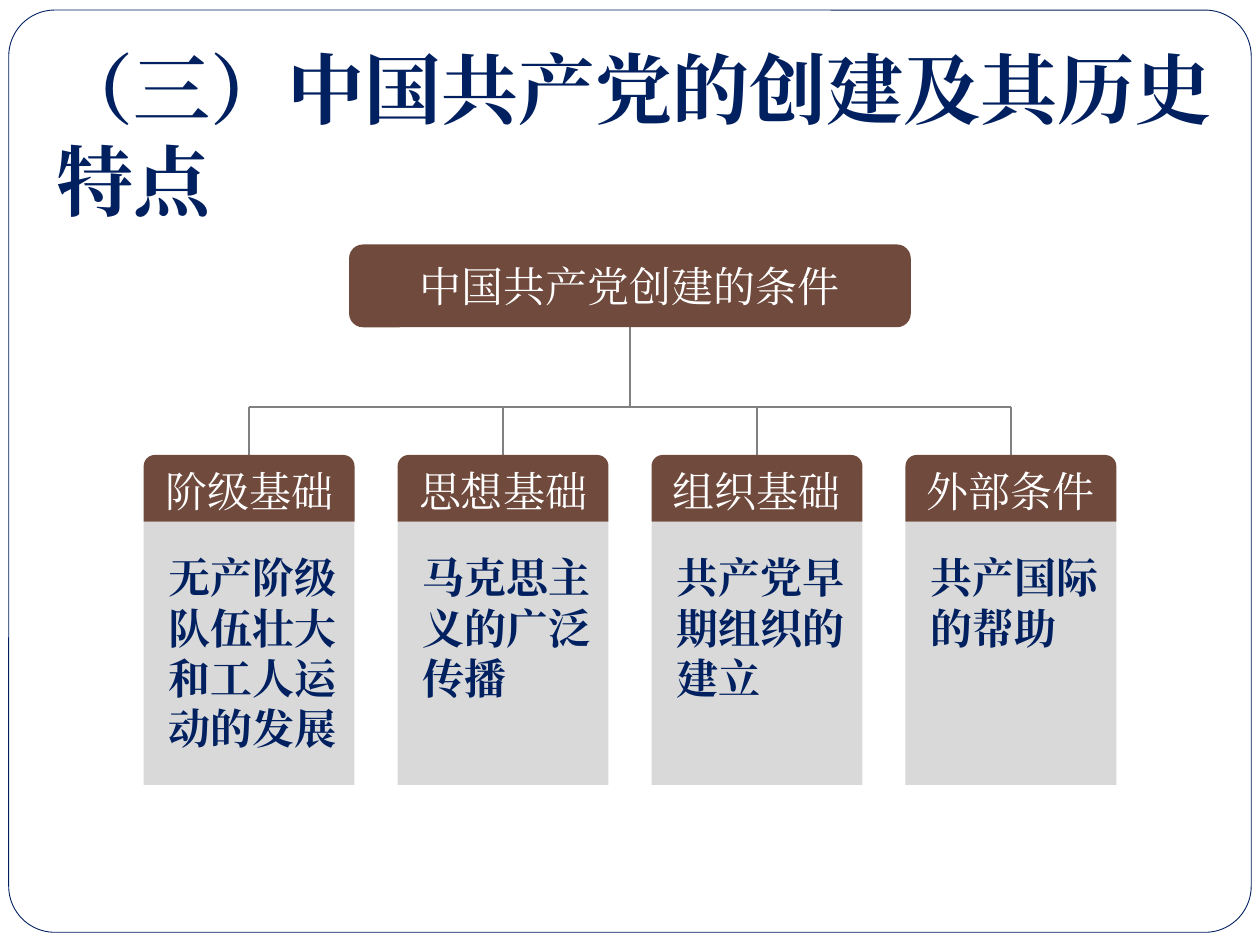
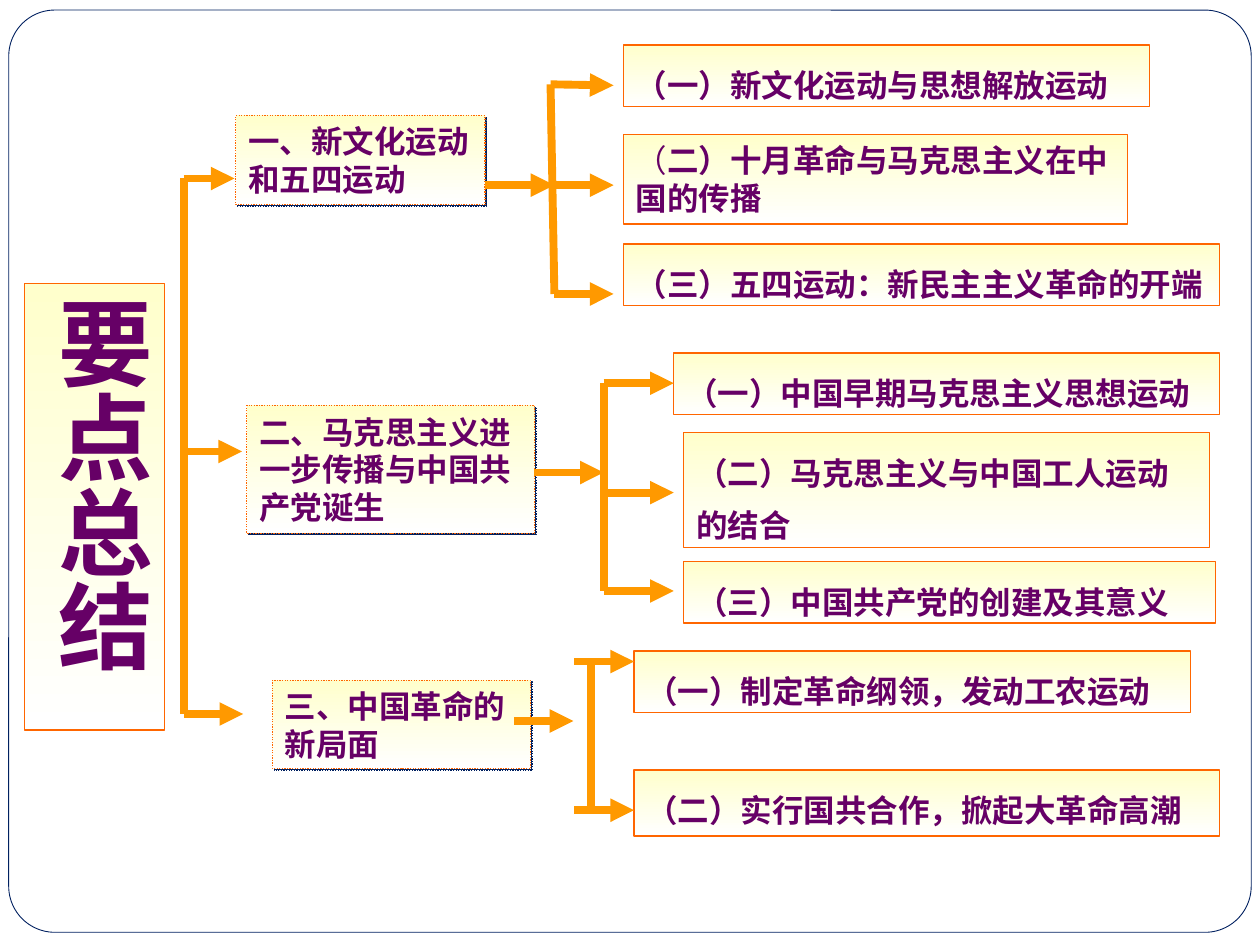
from lxml.etree import SubElement
from pptx import Presentation
from pptx.dml.color import RGBColor
from pptx.enum.dml import MSO_LINE
from pptx.enum.shapes import MSO_CONNECTOR, MSO_SHAPE
from pptx.enum.text import MSO_ANCHOR, PP_ALIGN
from pptx.oxml.ns import qn
from pptx.util import Pt

NAVY = RGBColor(0x00, 0x20, 0x60)
BROWN = RGBColor(0x70, 0x4A, 0x3D)
LIGHT_GRAY = RGBColor(0xD9, 0xD9, 0xD9)
GRAY = RGBColor(0x80, 0x80, 0x80)
WHITE = RGBColor(0xFF, 0xFF, 0xFF)
CREAM = RGBColor(0xFF, 0xFF, 0xCC)
ORANGE = RGBColor(0xFF, 0x66, 0x00)
AMBER = RGBColor(0xFF, 0x99, 0x00)
PURPLE = RGBColor(0x66, 0x00, 0x66)

SERIF = "Times New Roman"
SANS_JP = "Noto Sans CJK JP"
SANS_SC = "Noto Sans CJK SC"
INSETS = (7.2, 3.6, 7.2, 3.6)


class Deck:
    """Holds the presentation, its style and the current slide."""

    def __init__(self):
        self.prs = Presentation()
        self.prs.slide_width, self.prs.slide_height = Pt(720), Pt(540)
        self.slide = None

    def new_slide(self):
        self.slide = self.prs.slides.add_slide(self.prs.slide_layouts[6])
        frame = self.shape(MSO_SHAPE.ROUNDED_RECTANGLE, (5, 5.75, 710, 527), WHITE)
        frame.adjustments[0] = 0.05
        frame.line.color.rgb = NAVY
        frame.line.width = Pt(0.5)

    def shape(self, kind, at, fill):
        sp = self.slide.shapes.add_shape(kind, *map(Pt, at))
        sp.shadow.inherit = False
        sp.fill.solid()
        sp.fill.fore_color.rgb = fill
        sp.line.fill.background()
        return sp

    def label(self, sp, text, size, color, font=SERIF, bold=False, align=PP_ALIGN.LEFT,
              anchor=MSO_ANCHOR.TOP, insets=INSETS, spacing=None, lead=""):
        """Fill a shape with one paragraph; lead is an opening run in regular weight."""
        tf = sp.text_frame
        tf.word_wrap = True
        tf.vertical_anchor = anchor
        tf.margin_left, tf.margin_top, tf.margin_right, tf.margin_bottom = map(Pt, insets)
        p = tf.paragraphs[0]
        p.alignment = align
        p.line_spacing = spacing
        runs = [(lead, SANS_SC, False)] if lead else []
        for content, face, weight in runs + [(text, font, bold)]:
            r = p.add_run()
            r.text = content
            r.font.size = Pt(size)
            r.font.bold = weight
            r.font.color.rgb = color
            r.font.name = face
            SubElement(r._r.get_or_add_rPr(), qn("a:ea")).set("typeface", face)

    def title(self, text):
        sp = self.slide.shapes.add_textbox(Pt(25), Pt(20), Pt(680.5), Pt(114))
        self.label(sp, text, 44, NAVY, bold=True)

    def line(self, x1, y1, x2, y2, color=AMBER, width=4.5, arrow=False):
        cxn = self.slide.shapes.add_connector(MSO_CONNECTOR.STRAIGHT, *map(Pt, (x1, y1, x2, y2)))
        cxn.line.color.rgb = color
        cxn.line.width = Pt(width)
        properties = cxn.element.spPr
        if arrow:
            SubElement(properties.find(qn("a:ln")), qn("a:tailEnd")).set("type", "triangle")
        SubElement(properties, qn("a:effectLst"))

    def card(self, at):
        """Cream-to-white box with an orange outline."""
        sp = self.shape(MSO_SHAPE.RECTANGLE, at, CREAM)
        sp.fill.gradient()
        sp.fill.gradient_angle = 270
        for stop, color in zip(sp.fill.gradient_stops, (CREAM, WHITE)):
            stop.color.rgb = color
        sp.line.color.rgb = ORANGE
        sp.line.width = Pt(0.75)
        return sp

    def topic(self, text, at):
        """Dotted card with a hard navy shadow."""
        sp = self.card(at)
        sp.line.dash_style = MSO_LINE.ROUND_DOT
        effects = sp.element.spPr.find(qn("a:effectLst"))
        shadow = SubElement(effects, qn("a:outerShdw"), dist=str(int(Pt(1.4))), dir="2700000",
                            algn="ctr", rotWithShape="0")
        SubElement(shadow, qn("a:srgbClr"), val=str(NAVY))
        self.label(sp, text, 18, PURPLE, SANS_JP, True, anchor=MSO_ANCHOR.MIDDLE)

    def point(self, text, at, spacing=1.4, lead=""):
        self.label(self.card(at), text, 18, PURPLE, SANS_JP, True, spacing=spacing, lead=lead)

    def bracket(self, spine, arrows):
        """A spine line and the arrows (x1, y1, x2, y2) around it."""
        self.line(*spine)
        for arrow in arrows:
            self.line(*arrow, arrow=True)


def conditions_slide(deck):
    deck.new_slide()
    columns = [
        ("阶级基础", "无产阶级队伍壮大和工人运动的发展"),
        ("思想基础", "马克思主义的广泛传播"),
        ("组织基础", "共产党早期组织的建立"),
        ("外部条件", "共产国际的帮助"),
    ]
    middle, pitch, width = 360, 145.1, 120.5
    bar_y, head_y, body_y = 232.5, 260, 298
    centers = [middle + (i - 1.5) * pitch for i in range(len(columns))]

    # Tree lines
    deck.line(centers[0], bar_y, centers[-1], bar_y, GRAY, 1)
    deck.line(middle, 187, middle, bar_y, GRAY, 1)
    for x in centers:
        deck.line(x, bar_y, x, head_y, GRAY, 1)

    # Root
    root = deck.shape(MSO_SHAPE.ROUNDED_RECTANGLE, (middle - 160.5, 139.7, 321, 47.3), BROWN)
    deck.label(root, "中国共产党创建的条件", 24, WHITE, align=PP_ALIGN.CENTER,
               anchor=MSO_ANCHOR.MIDDLE)

    # Columns
    for x, (head, body) in zip(centers, columns):
        left = x - width / 2
        sp = deck.shape(MSO_SHAPE.RECTANGLE, (left, body_y, width, 150.5), LIGHT_GRAY)
        deck.label(sp, body, 24, NAVY, bold=True, insets=(14.4, 17.3, 7.2, 2.9))
        sp = deck.shape(MSO_SHAPE.ROUND_2_SAME_RECTANGLE,
                        (left, head_y, width, body_y - head_y), BROWN)
        deck.label(sp, head, 24, WHITE, align=PP_ALIGN.CENTER, anchor=MSO_ANCHOR.MIDDLE,
                   insets=(7.2, 0, 7.2, 0), spacing=Pt(30))

    deck.title("（三）中国共产党的创建及其历史特点")


def summary_slide(deck):
    deck.new_slide()

    # Vertical heading
    heading = deck.card((14.2, 162.2, 80, 255))
    deck.label(heading, "要点总结", 54, PURPLE, SANS_SC, True, PP_ALIGN.CENTER)
    heading.element.txBody.bodyPr.set("vert", "eaVert")

    # Topics
    deck.topic("一、新文化运动和五四运动", (134.7, 66, 142.5, 51))
    deck.topic("二、马克思主义进一步传播与中国共产党诞生", (141, 231.7, 164.5, 73))
    deck.topic("三、中国革命的新局面", (155.7, 388.8, 147.6, 50.5))

    # Points of each topic
    deck.point("（一）新文化运动与思想解放运动", (356.3, 25.8, 300.5, 35.2))
    deck.point("二）十月革命与马克思主义在中国的传播", (356.3, 77, 288, 51),
               spacing=None, lead="（")
    deck.point("（三）五四运动：新民主主义革命的开端", (356.3, 139.5, 340.5, 35.2))
    deck.point("（一）中国早期马克思主义思想运动", (385, 201.7, 312, 35.2))
    deck.point("（二）马克思主义与中国工人运动的结合", (390.7, 247, 300.5, 65.7))
    deck.point("（三）中国共产党的创建及其意义", (390.7, 320.8, 304, 35.2))
    deck.point("（一）制定革命纲领，发动工农运动", (362.3, 372, 318.2, 35.2))
    deck.point("（二）实行国共合作，掀起大革命高潮", (362.3, 440, 334.7, 37.7))

    # Brackets from the heading to the topics and on to the points
    deck.bracket((105, 102, 105, 408),
                 [(105, y, x, y) for y, x in ((102, 134), (258, 138.3), (408, 139))])
    deck.bracket((314.6, 48.2, 316.8, 168),
                 [(277, 105.8, 316.8, 105.8), (314.6, 48.2, 350.6, 48.8)]
                 + [(316.8, y, 350.6, y) for y in (105.8, 168)])
    deck.bracket((345, 219, 345, 337.7),
                 [(305.3, 270, 345, 270)] + [(345, y, 385, y) for y in (219, 281.5, 337.7)])
    deck.bracket((337.7, 378, 337.7, 463),
                 [(293.8, 412, 327.6, 412)] + [(328.3, y, 362.3, y) for y in (378, 463)])


def main():
    deck = Deck()
    conditions_slide(deck)
    summary_slide(deck)
    deck.prs.save("out.pptx")


if __name__ == "__main__":
    main()
